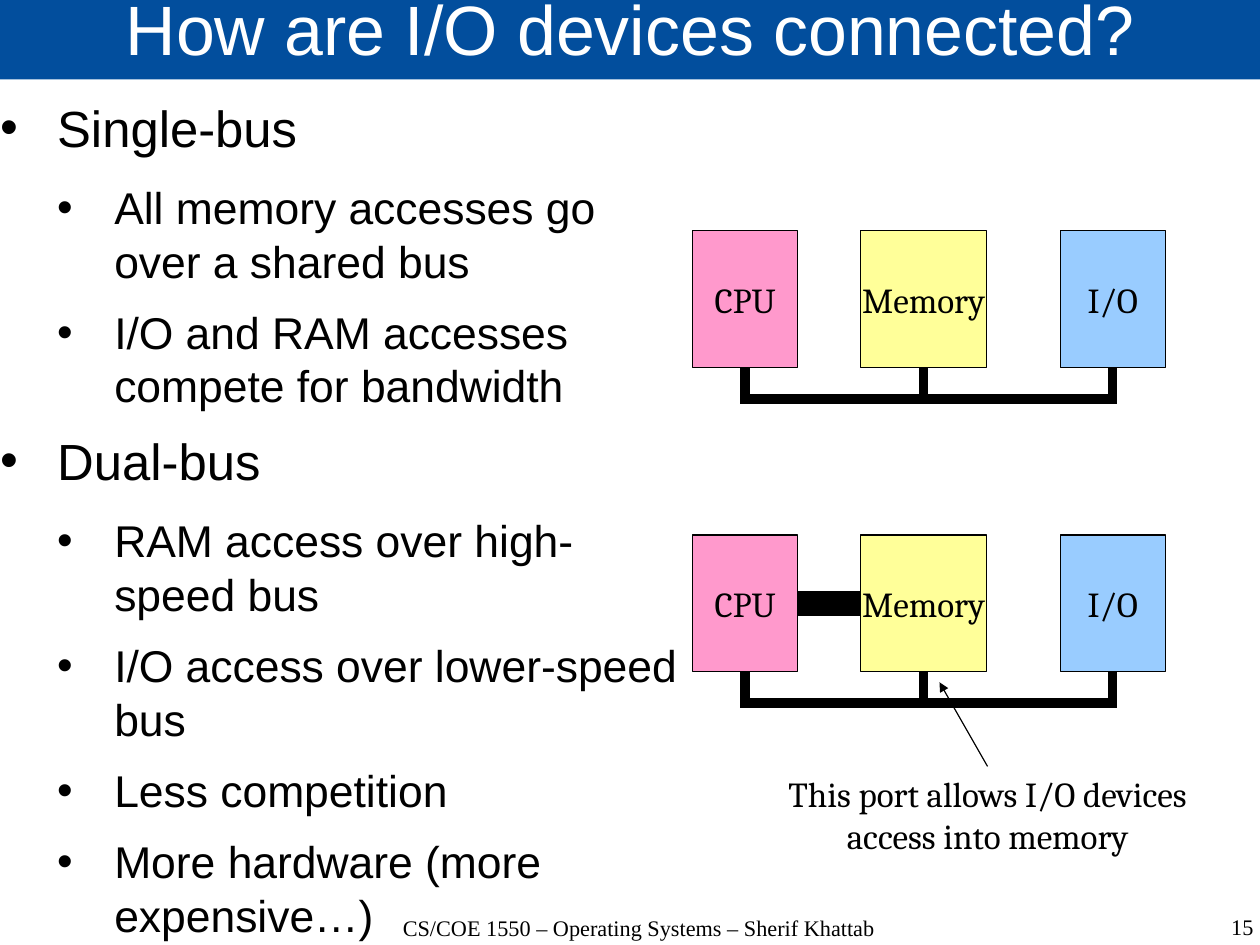
from lxml import etree
from pptx import Presentation
from pptx.dml.color import RGBColor
from pptx.enum import shapes, text
from pptx.oxml import ns
from pptx.util import Pt

BLACK = RGBColor(0, 0, 0)
WHITE = RGBColor(255, 255, 255)
BLUE = RGBColor(0x02, 0x4E, 0x9D)
PINK = RGBColor(0xFF, 0x99, 0xCC)
YELLOW = RGBColor(0xFF, 0xFF, 0x99)
SKY = RGBColor(0x99, 0xCC, 0xFF)


def write(paragraph, words, size, font="Arial", color=BLACK, align=None,
          spacing=None, after=0):
    paragraph.text = words
    paragraph.alignment = align
    paragraph.line_spacing = spacing
    paragraph.space_before = Pt(0)
    paragraph.space_after = Pt(after)
    for run in paragraph.runs:
        run.font.size = Pt(size)
        run.font.name = font
        run.font.color.rgb = color


def connect(start, end, weight):
    link = slide.shapes.add_connector(
        shapes.MSO_CONNECTOR.STRAIGHT, *[Pt(v) for v in (*start, *end)])
    link.line.color.rgb = BLACK
    link.line.width = Pt(weight)
    etree.SubElement(link._element.spPr, ns.qn("a:effectLst"))
    return link


deck = Presentation()
deck.slide_width = Pt(793.7)
deck.slide_height = Pt(595.28)
slide = deck.slides.add_slide(deck.slide_layouts[1])
CENTER = text.PP_ALIGN.CENTER

heading = slide.shapes.title
outline = slide.placeholders[1]
footer = slide.shapes.add_textbox(Pt(221), Pt(576.7), Pt(363), Pt(39.6))
page = slide.shapes.add_textbox(Pt(607.4), Pt(576.3), Pt(182.2), Pt(39.6))
heading.left, heading.top, heading.width, heading.height = [
    Pt(v) for v in (0, -1.8, 794.8, 51.8)]
outline.left, outline.top, outline.width, outline.height = [
    Pt(v) for v in (0, 60.9, 429.8, 512.6)]
for part in (heading, outline, footer, page):
    frame = part.text_frame
    frame.word_wrap = True
    frame.auto_size = text.MSO_AUTO_SIZE.NONE
    frame.vertical_anchor = text.MSO_ANCHOR.TOP
    frame.margin_left = frame.margin_right = Pt(0)
    frame.margin_top = frame.margin_bottom = Pt(0)

heading.fill.solid()
heading.fill.fore_color.rgb = BLUE
heading.text_frame.vertical_anchor = text.MSO_ANCHOR.MIDDLE
write(heading.text_frame.paragraphs[0], "How are I/O devices connected?", 44,
      color=WHITE, align=CENTER, spacing=0.69)
write(footer.text_frame.paragraphs[0],
      "CS/COE 1550 – Operating Systems – Sherif Khattab", 14,
      font="Times New Roman", align=CENTER, spacing=0.96)
write(page.text_frame.paragraphs[0], "15", 14, font="Times New Roman",
      align=text.PP_ALIGN.RIGHT, spacing=0.96)

points = [
    (0, "Single-bus"),
    (1, "All memory accesses go over a shared bus"),
    (1, "I/O and RAM accesses compete for bandwidth"),
    (0, "Dual-bus"),
    (1, "RAM access over high-speed bus"),
    (1, "I/O access over lower-speed bus"),
    (1, "Less competition"),
    (1, "More hardware (more expensive…)"),
]
for index, (level, words) in enumerate(points):
    frame = outline.text_frame
    point = frame.add_paragraph() if index else frame.paragraphs[0]
    point.level = level
    settings = point._p.get_or_add_pPr()
    settings.set("marL", str(Pt(36 * (level + 1))))
    settings.set("indent", str(Pt(-36)))
    etree.SubElement(settings, ns.qn("a:buFont"), typeface="Arial")
    etree.SubElement(settings, ns.qn("a:buChar"), char="•")
    write(point, words, 28 if level else 32, after=11.4 if level else 14.2)

units = [("CPU", 436.3, 66.2, PINK), ("Memory", 542.2, 79.2, YELLOW),
         ("I/O", 667.8, 66.2, SKY)]
unit_height = 86
bus_drop = 20
centers = [left + width / 2 for name, left, width, color in units]
for top in (145.4, 337):
    bottom = top + unit_height
    for start, end in zip(centers, centers[1:]):
        path = slide.shapes.build_freeform(Pt(start), Pt(bottom))
        path.add_line_segments(
            [(Pt(start), Pt(bottom + bus_drop)), (Pt(end), Pt(bottom + bus_drop)),
             (Pt(end), Pt(bottom))], close=False)
        bus = path.convert_to_shape()
        bus.shadow.inherit = False
        bus.fill.background()
        bus.line.color.rgb = BLACK
        bus.line.width = Pt(6)
        etree.SubElement(bus.line._get_or_add_ln(), ns.qn("a:miter"), lim="800000")
    for name, left, width, color in units:
        unit = slide.shapes.add_shape(shapes.MSO_SHAPE.RECTANGLE, Pt(left),
                                      Pt(top), Pt(width), Pt(unit_height))
        unit.shadow.inherit = False
        unit.fill.solid()
        unit.fill.fore_color.rgb = color
        unit.line.color.rgb = BLACK
        unit.line.width = Pt(0.75)
        unit.text_frame.word_wrap = False
        unit.text_frame.vertical_anchor = text.MSO_ANCHOR.MIDDLE
        write(unit.text_frame.paragraphs[0], name, 22.1, font="Cambria", align=CENTER)

connect((502.5, 380), (542.2, 380), 16)

port_note = slide.shapes.add_textbox(Pt(488.9), Pt(482.8), Pt(266.4), Pt(60.5))
port_note.text_frame.word_wrap = False
write(port_note.text_frame.paragraphs[0],
      "This port allows I/O devices\vaccess into memory", 22.1,
      font="Cambria", align=CENTER)
pointer = connect((622.1, 482.8), (591.8, 429.8), 0.75)
etree.SubElement(pointer.line._get_or_add_ln(), ns.qn("a:tailEnd"), type="triangle")

deck.save("out.pptx")
